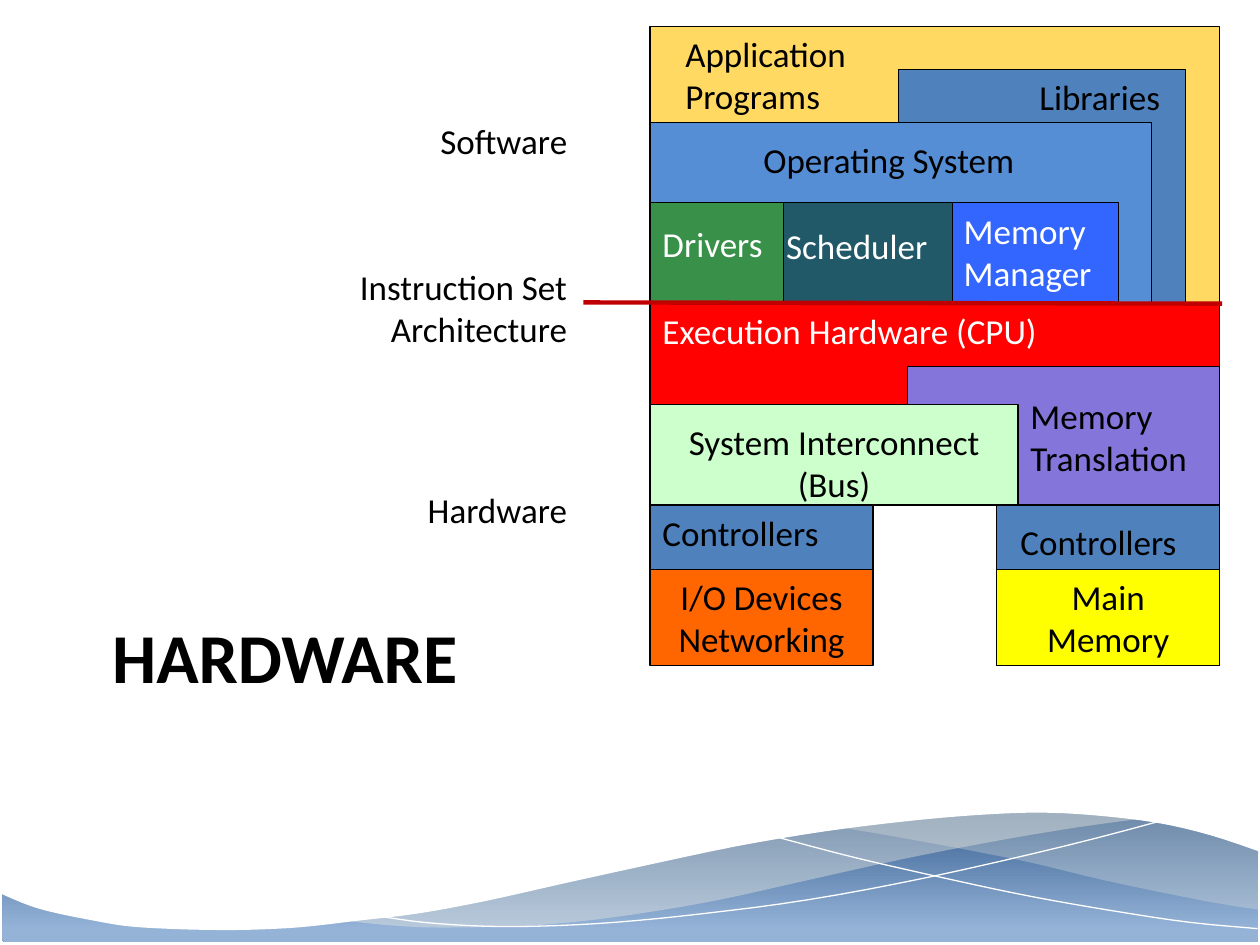
from lxml.etree import SubElement
from pptx import Presentation
from pptx.dml.color import RGBColor
from pptx.enum.shapes import MSO_CONNECTOR, MSO_SHAPE
from pptx.enum.text import MSO_ANCHOR, PP_ALIGN
from pptx.oxml.ns import qn
from pptx.util import Inches, Pt

BLACK = RGBColor(0x00, 0x00, 0x00)
WHITE = RGBColor(0xFF, 0xFF, 0xFF)
HAZE = RGBColor(0xEE, 0xEC, 0xE1)
DEEP_BLUE = RGBColor(0x37, 0x60, 0x92)
PALE_BLUE = RGBColor(0x95, 0xB3, 0xD7)
STEEL = RGBColor(0x4F, 0x81, 0xBD)
SKY = RGBColor(0x55, 0x8E, 0xD5)
GOLD = RGBColor(0xFF, 0xD9, 0x61)
RED = RGBColor(0xFF, 0x01, 0x01)
DARK_RED = RGBColor(0xC0, 0x00, 0x00)
PURPLE = RGBColor(0x83, 0x75, 0xD9)
MINT = RGBColor(0xCC, 0xFF, 0xCC)
ORANGE = RGBColor(0xFF, 0x66, 0x00)
YELLOW = RGBColor(0xFF, 0xFF, 0x00)
BLUE = RGBColor(0x33, 0x66, 0xFF)
TEAL = RGBColor(0x21, 0x59, 0x68)
GREEN = RGBColor(0x38, 0x90, 0x49)

LEFT, CENTER, RIGHT = PP_ALIGN.LEFT, PP_ALIGN.CENTER, PP_ALIGN.RIGHT

RIDGE = [(10, 0.83), (9.61, 0.7), (9.18, 0.6), (8.67, 0.54), (8.23, 0.52), (7.74, 0.54),
         (7.18, 0.59), (6.54, 0.67), (5.83, 0.79), (5.03, 0.96), (4.44, 1.09), (3.86, 1.22),
         (3.32, 1.32), (2.82, 1.38), (2.38, 1.43), (1.97, 1.45), (1.61, 1.45), (1.29, 1.44),
         (1, 1.42), (0.76, 1.38), (0.46, 1.32), (0.24, 1.26), (0, 1.16)]
HILL_BASE = [(9.99, 1.29), (9.56, 1.22), (8.78, 1.06), (8.2, 0.92), (7.65, 0.81),
             (7.16, 0.72), (6.69, 0.64)]
HILL_TOP = [(6.69, 0.64), (7.15, 0.58), (7.69, 0.53), (8.18, 0.51), (8.61, 0.52),
            (9.08, 0.57), (9.49, 0.65), (9.99, 0.82)]
BAND_BASE = [(9.12, 0.56), (8.53, 0.64), (7.88, 0.75), (7.16, 0.89), (6.35, 1.07),
             (5.72, 1.21), (5.15, 1.31), (4.63, 1.38), (4.16, 1.42), (3.74, 1.43),
             (3.36, 1.43), (3.04, 1.41), (2.76, 1.38)]
BAND_TOP = [(2.76, 1.38), (3.34, 1.3), (4, 1.18), (4.47, 1.07), (5.31, 0.89), (6.06, 0.74),
            (6.73, 0.63), (7.33, 0.55), (7.86, 0.51), (8.33, 0.5), (8.75, 0.52), (9.12, 0.56)]
RISING = [(3, 1.34), (3.36, 1.39), (3.82, 1.42), (4.29, 1.42), (4.88, 1.39), (5.59, 1.32),
          (6.42, 1.21), (7.38, 1.03), (8.47, 0.78), (9.27, 0.57)]
FALLING = [(6.19, 0.72), (6.8, 0.88), (7.59, 1.06), (8.21, 1.19), (8.84, 1.3),
           (9.44, 1.39), (9.98, 1.44)]

BLOCKS = [
    (0, 0, 4.52, 2.2, GOLD),
    (1.97, 0.34, 2.28, 1.86, STEEL),
    (0, 0.76, 3.98, 1.44, SKY),
    (0, 2.2, 4.52, 1.6, RED),
    (2.04, 2.7, 2.48, 1.1, PURPLE),
    (0, 3, 2.92, 0.8, MINT),
    (0, 3.8, 1.77, 0.51, STEEL),
    (0, 4.31, 1.77, 0.76, ORANGE),
    (2.75, 3.8, 1.77, 1.27, STEEL),
    (2.75, 4.31, 1.77, 0.76, YELLOW),
    (0.18, 1.4, 3.54, 0.8, BLUE),
    (0.36, 1.4, 2.04, 0.8, TEAL),
    (0, 1.4, 1.06, 0.8, GREEN),
]
BLOCK_LABELS = [
    (0.18, 0, 1.79, 0.69, ["Application Programs"], BLACK, LEFT),
    (2.99, 0.34, 1.55, 0.39, ["Libraries"], BLACK, LEFT),
    (0.8, 0.84, 3.01, 0.39, ["Operating System"], BLACK, LEFT),
    (0, 1.51, 1.24, 0.39, ["Drivers"], WHITE, LEFT),
    (2.39, 1.4, 1.42, 0.69, ["Memory", "Manager"], WHITE, LEFT),
    (0.98, 1.52, 1.68, 0.39, ["Scheduler"], WHITE, LEFT),
    (0, 2.2, 3.9, 0.39, ["Execution Hardware (CPU)"], WHITE, LEFT),
    (2.92, 2.87, 1.69, 0.69, ["Memory", "Translation"], BLACK, LEFT),
    (0, 3.08, 2.92, 0.69, ["System Interconnect", "(Bus)"], BLACK, CENTER),
    (0, 3.8, 1.77, 0.39, ["Controllers"], BLACK, LEFT),
    (2.84, 3.87, 1.59, 0.39, ["Controllers"], BLACK, LEFT),
    (2.84, 4.31, 1.59, 0.69, ["Main", "Memory"], BLACK, CENTER),
    (0, 4.31, 1.77, 0.69, ["I/O Devices", "Networking"], BLACK, CENTER),
]
SIDE_LABELS = [
    (0, 1.16, 2.07, 0.69, ["Instruction Set Architecture"], BLACK, RIGHT),
    (0.56, 0, 1.51, 0.39, ["Software"], BLACK, RIGHT),
    (0.23, 2.93, 1.84, 0.39, ["Hardware"], BLACK, RIGHT),
]


def set_font(font, color, **values):
    for name, value in {"name": "Calibri", "size": Pt(20), **values}.items():
        setattr(font, name, value)
    font.color.rgb = color


def add_label(shapes, x, y, w, h, lines, color, align):
    tf = shapes.add_textbox(Inches(x), Inches(y), Inches(w), Inches(h)).text_frame
    tf.word_wrap = True
    for i, line in enumerate(lines):
        p = tf.paragraphs[0] if i == 0 else tf.add_paragraph()
        p.alignment = align
        r = p.add_run()
        r.text = line
        set_font(r.font, color)


def smooth(points, steps=4):
    padded = [points[0], *points, points[-1]]
    curve = [points[0]]
    for a, b, c, d in zip(padded, padded[1:], padded[2:], padded[3:]):
        for t in (n / steps for n in range(1, steps + 1)):
            curve.append(tuple(
                (2 * q + (r - p) * t + (2 * p - 5 * q + 4 * r - s) * t ** 2
                 + (3 * q - p - 3 * r + s) * t ** 3) / 2
                for p, q, r, s in zip(a, b, c, d)))
    return curve


def add_curve(shapes, left, top, points, fill=None, opacity=100):
    pts = [(Inches(left + x), Inches(top + y)) for x, y in points]
    builder = shapes.build_freeform(*pts[0])
    builder.add_line_segments(pts[1:], close=fill is not None)
    sp = builder.convert_to_shape()
    sp.shadow.inherit = False
    if fill is None:
        sp.fill.background()
        sp.line.color.rgb = WHITE
        sp.line.width = Pt(0)
        return
    sp.fill.solid()
    sp.fill.fore_color.rgb = fill
    sp.line.fill.background()
    if opacity < 100:
        clr = sp._element.spPr.find(qn("a:solidFill")).find(qn("a:srgbClr"))
        SubElement(clr, qn("a:alpha")).set("val", str(opacity * 1000))


def add_wave_footer(slide, left, top):
    shapes = slide.shapes.add_group_shape().shapes
    sp = shapes.add_shape(MSO_SHAPE.ROUNDED_RECTANGLE, Inches(left + 0.02), Inches(top + 0.5),
                          Inches(9.97), Inches(1.05))
    sp.adjustments[0] = 0.03
    sp.shadow.inherit = False
    sp.line.fill.background()
    sp.fill.gradient()
    sp.fill.gradient_angle = 270
    for stop, color, position in zip(sp.fill.gradient_stops, (DEEP_BLUE, PALE_BLUE), (0, 0.9)):
        stop.color.rgb = color
        stop.position = position
    add_curve(shapes, left, top, smooth(HILL_BASE) + smooth(HILL_TOP), HAZE, 29)
    add_curve(shapes, left, top, smooth(BAND_BASE) + smooth(BAND_TOP), HAZE, 40)
    add_curve(shapes, left, top, smooth(RISING))
    add_curve(shapes, left, top, smooth(FALLING))
    add_curve(shapes, left, top, smooth(RIDGE) + [(0, 0), (10, 0)], WHITE)


def add_title(slide, left, top, width, height):
    title = slide.shapes.title
    box = {"left": left, "top": top, "width": width, "height": height}
    for name, value in box.items():
        setattr(title, name, Inches(value))
    tf = title.text_frame
    tf.text = "HARDWARE"
    tf.vertical_anchor = MSO_ANCHOR.TOP
    p = tf.paragraphs[0]
    p.alignment = LEFT
    set_font(p.runs[0].font, BLACK, size=Pt(40), bold=True)


def add_system_stack(slide, left, top):
    shapes = slide.shapes.add_group_shape().shapes
    for x, y, w, h, color in BLOCKS:
        sp = shapes.add_shape(MSO_SHAPE.RECTANGLE, Inches(left + x), Inches(top + y),
                              Inches(w), Inches(h))
        sp.shadow.inherit = False
        sp.fill.solid()
        sp.fill.fore_color.rgb = color
        sp.line.color.rgb = BLACK
        sp.line.width = Pt(0.75)
    for x, y, *label in BLOCK_LABELS:
        add_label(shapes, left + x, top + y, *label)
    boundary = shapes.add_connector(MSO_CONNECTOR.STRAIGHT, Inches(left - 0.53), Inches(top + 2.19),
                                    Inches(left + 4.54), Inches(top + 2.2))
    boundary.line.color.rgb = DARK_RED
    boundary.line.width = Pt(2.5)
    SubElement(boundary._element.spPr, qn("a:effectLst"))


def add_side_labels(slide, left, top):
    for x, y, *label in SIDE_LABELS:
        add_label(slide.shapes, left + x, top + y, *label)


def main():
    prs = Presentation()
    prs.slide_width, prs.slide_height = Inches(10), Inches(7.5)
    slide = prs.slides.add_slide(prs.slide_layouts[5])
    add_wave_footer(slide, 0, 5.93)
    add_title(slide, 0.79, 4.82, 8.5, 1.49)
    add_system_stack(slide, 5.16, 0.21)
    add_side_labels(slide, 2.53, 0.9)
    prs.save("out.pptx")


if __name__ == "__main__":
    main()
